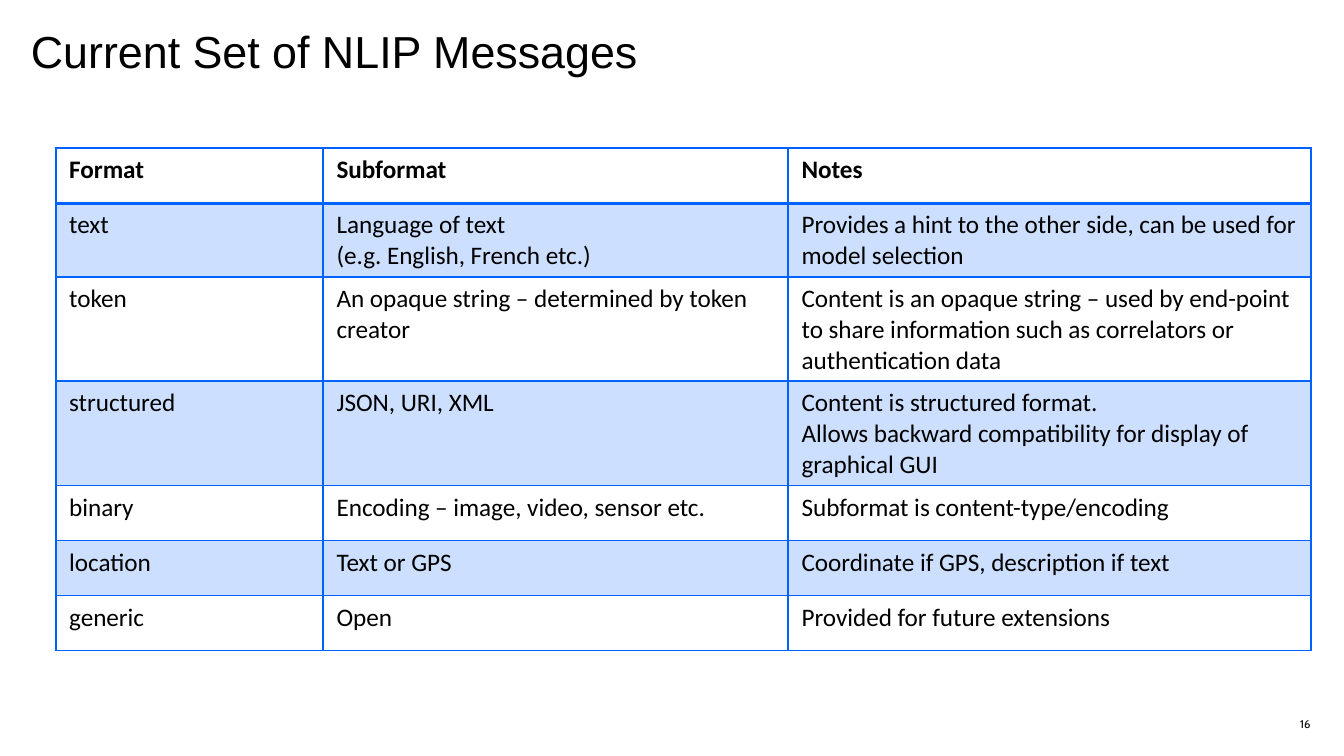
from dataclasses import dataclass

from pptx import Presentation
from pptx.dml.color import RGBColor
from pptx.enum import text
from pptx.oxml import parse_xml
from pptx.oxml.ns import nsdecls, qn
from pptx.util import Inches, Pt

WIDTH = Inches(10)
HEIGHT = WIDTH * 9 // 16


@dataclass(frozen=True)
class Theme:
    ink: str = "000000"
    accent: str = "0062FF"
    band_alpha: int = 20
    title_font: str = "Arial"
    body_font: str = "Calibri"
    number_font: str = "Cabin"
    title_size: float = 24
    body_size: float = 13.5
    number_size: float = 6
    rule: float = 1
    header_rule: float = 2


THEME = Theme()

COLUMN_WIDTHS = (1.99, 3.46, 3.89)
ROW_HEIGHT = 0.41
MESSAGES = [
    ("Format", "Subformat", "Notes"),
    ("text", "Language of text\n(e.g. English, French etc.)",
     "Provides a hint to the other side, can be used for model selection"),
    ("token", "An opaque string – determined by token creator",
     "Content is an opaque string – used by end-point to share information "
     "such as correlators or authentication data"),
    ("structured", "JSON, URI, XML",
     "Content is structured format.\n"
     "Allows backward compatibility for display of graphical GUI"),
    ("binary", "Encoding – image, video, sensor etc.",
     "Subformat is content-type/encoding"),
    ("location", "Text or GPS", "Coordinate if GPS, description if text"),
    ("generic", "Open", "Provided for future extensions"),
]


def share(x, y):
    """Turn percentages of the slide's width and height into lengths."""
    return round(WIDTH * x / 100), round(HEIGHT * y / 100)


def style_runs(frame, font_name, size, bold=False):
    for paragraph in frame.paragraphs:
        for run in paragraph.runs:
            run.font.name = font_name
            run.font.size = Pt(size)
            run.font.bold = bold
            run.font.color.rgb = RGBColor.from_string(THEME.ink)


def add_label(slide, words, corner, extent, font_name, size):
    """Add a text box without margins and return its frame."""
    frame = slide.shapes.add_textbox(*share(*corner), *share(*extent)).text_frame
    frame.margin_left = frame.margin_right = 0
    frame.margin_top = frame.margin_bottom = 0
    frame.text = words
    style_runs(frame, font_name, size)
    return frame


def tint(cell):
    """Fill a cell with the see-through accent colour."""
    cell.fill.solid()
    cell.fill.fore_color.rgb = RGBColor.from_string(THEME.accent)
    color = cell._tc.tcPr.find(".//" + qn("a:srgbClr"))
    color.append(parse_xml(
        f'<a:alpha {nsdecls("a")} val="{THEME.band_alpha * 1000}"/>'))


def add_borders(cell, bottom):
    widths = {"lnL": THEME.rule, "lnR": THEME.rule,
              "lnT": THEME.rule, "lnB": bottom}
    for position, (side, width) in enumerate(widths.items()):
        # Borders come before the fill in the cell's properties
        cell._tc.get_or_add_tcPr().insert(position, parse_xml(
            f'<a:{side} {nsdecls("a")} w="{Pt(width)}"><a:solidFill>'
            f'<a:srgbClr val="{THEME.accent}"/></a:solidFill></a:{side}>'))


def add_message_table(slide, corner, extent):
    table = slide.shapes.add_table(
        len(MESSAGES), len(COLUMN_WIDTHS), *share(*corner),
        *share(*extent)).table
    table.horz_banding = False
    for column, width in zip(table.columns, COLUMN_WIDTHS):
        column.width = Inches(width)
    for index, (row, message) in enumerate(zip(table.rows, MESSAGES)):
        is_header = index == 0
        row.height = Inches(ROW_HEIGHT)
        for cell, words in zip(row.cells, message):
            cell.text_frame.text = words
            style_runs(cell.text_frame, THEME.body_font, THEME.body_size,
                       bold=is_header)
            if index % 2:
                tint(cell)
            else:
                cell.fill.background()
            add_borders(cell, THEME.header_rule if is_header else THEME.rule)


def main():
    deck = Presentation()
    deck.slide_width, deck.slide_height = WIDTH, HEIGHT
    slide = deck.slides.add_slide(deck.slide_layouts[6])

    # Title
    title = add_label(slide, "Current Set of NLIP Messages", (2.3, 3.95),
                      (45.3, 15.6), THEME.title_font, THEME.title_size)
    title.word_wrap = False
    title.paragraphs[0].line_spacing = 0.9

    # Slide number
    number = add_label(slide, "16", (77.5, 94.1), (20, 3.2),
                       THEME.number_font, THEME.number_size)
    number.word_wrap = True
    number.vertical_anchor = text.MSO_ANCHOR.MIDDLE
    number.paragraphs[0].alignment = text.PP_ALIGN.RIGHT

    # Message formats
    add_message_table(slide, (4.15, 19.6), (93.3, 68.1))

    deck.save("out.pptx")


if __name__ == "__main__":
    main()
